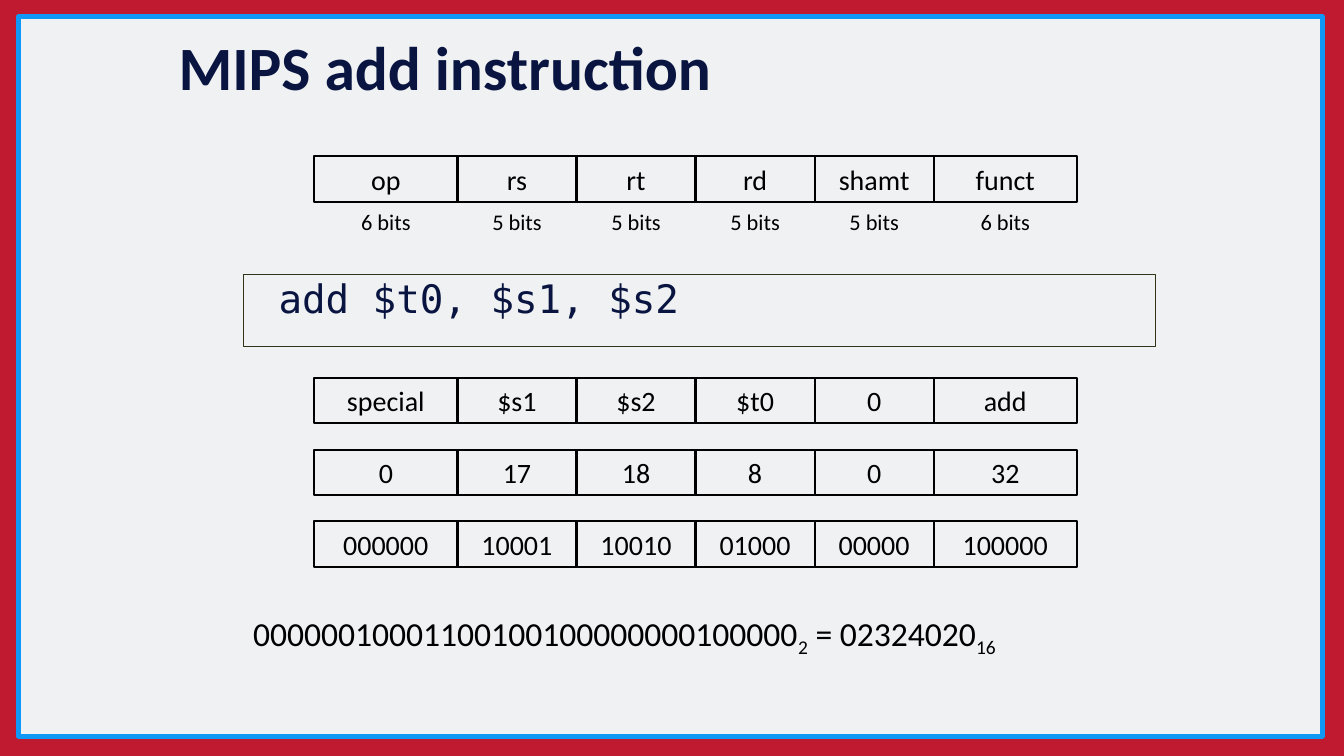
from itertools import accumulate

from pptx import Presentation
from pptx.dml.color import RGBColor
from pptx.enum import shapes, text
from pptx.util import Cm, Pt

NAVY, BLACK = "091540", "000000"


def color(hex_value):
    return RGBColor.from_string(hex_value)


def write(shape, runs, align=text.PP_ALIGN.LEFT, anchor=text.MSO_ANCHOR.TOP,
          wrap=True, spacing=None, **font):
    """Fill a shape with one paragraph; runs are (text, baseline) pairs."""
    frame = shape.text_frame
    frame.word_wrap = wrap
    frame.vertical_anchor = anchor
    paragraph = frame.paragraphs[0]
    paragraph.alignment = align
    paragraph.line_spacing = spacing
    font = {"name": "Calibri", "bold": False, "color": BLACK} | font
    for words, baseline in runs:
        run = paragraph.add_run()
        run.text = words
        run.font.color.rgb = color(font["color"])
        for key in ("name", "size", "bold"):
            setattr(run.font, key, font[key])
        if baseline:
            run.font._element.set("baseline", str(baseline))


presentation = Presentation()
presentation.slide_width, presentation.slide_height = Cm(33.87), Cm(19.05)
slide = presentation.slides.add_slide(presentation.slide_layouts[6])
slide.background.fill.solid()
slide.background.fill.fore_color.rgb = color("BF1A2F")

panel = slide.shapes.add_shape(shapes.MSO_SHAPE.RECTANGLE, Cm(0.47), Cm(0.42), Cm(32.85), Cm(18.13))
panel.shadow.inherit = False
panel.fill.solid()
panel.fill.fore_color.rgb = color("EFF1F3")
panel.line.color.rgb = color("1098F7")
panel.line.width = Pt(3.5)

title = slide.shapes.add_textbox(Cm(4.25), Cm(-0.05), Cm(25.4), Cm(3.68))
write(title, [("MIPS add instruction", 0)], anchor=text.MSO_ANCHOR.MIDDLE,
      spacing=0.9, size=Pt(44), bold=True, color=NAVY)

code = slide.shapes.add_textbox(Cm(6.13), Cm(6.92), Cm(22.98), Cm(1.81))
code.line.color.rgb = color("333319")
code.line.width = Pt(0.75)
code.text_frame.margin_left = Cm(0.89)
write(code, [("add $t0, $s1, $s2", 0)], spacing=0.9, size=Pt(28),
      name="DejaVu Sans Mono", color=NAVY)

# Instruction fields: a header row, then three encodings of the same instruction
field_bits = [6, 5, 5, 5, 5, 6]
field_widths = [{6: 3.61, 5: 3.0}[bits] for bits in field_bits]
field_lefts = list(accumulate(field_widths, initial=7.92))[:-1]
header = slide.shapes.add_group_shape()
field_rows = [
    (header.shapes, 3.94, ["op", "rs", "rt", "rd", "shamt", "funct"]),
    (slide.shapes, 9.52, ["special", "$s1", "$s2", "$t0", "0", "add"]),
    (slide.shapes, 11.33, ["0", "17", "18", "8", "0", "32"]),
    (slide.shapes, 13.14, ["000000", "10001", "10010", "01000", "00000", "100000"]),
]
for container, top, labels in field_rows:
    for left, width, label in zip(field_lefts, field_widths, labels):
        field = container.add_shape(shapes.MSO_SHAPE.RECTANGLE, Cm(left), Cm(top), Cm(width), Cm(1.15))
        field.shadow.inherit = False
        field.fill.background()
        field.line.color.rgb = color(BLACK)
        field.line.width = Pt(1.5)
        write(field, [(label, 0)], align=text.PP_ALIGN.CENTER,
              anchor=text.MSO_ANCHOR.MIDDLE, size=Pt(20))

label_width = 1.78
for left, width, bits in zip(field_lefts, field_widths, field_bits):
    size_label = header.shapes.add_textbox(
        Cm(left + (width - label_width) / 2), Cm(5.13), Cm(label_width), Cm(0.94))
    write(size_label, [(f"{bits} bits", 0)], align=text.PP_ALIGN.CENTER,
          wrap=False, size=Pt(16))

machine_code = slide.shapes.add_textbox(Cm(6.13), Cm(15.32), Cm(22.6), Cm(1.4))
subscript = -25000
write(machine_code, [("00000010001100100100000000100000", 0), ("2", subscript),
                     (" = 02324020", 0), ("16", subscript)], size=Pt(24))

presentation.save("out.pptx")
